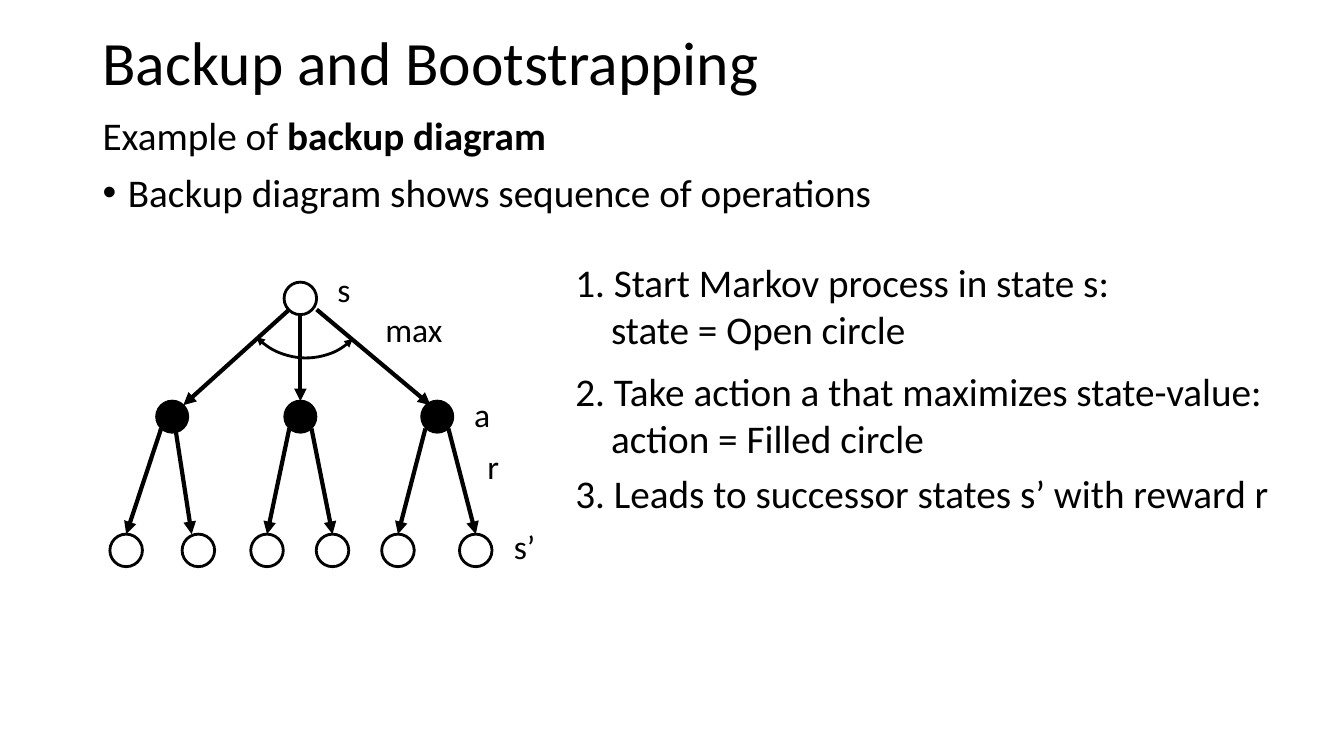
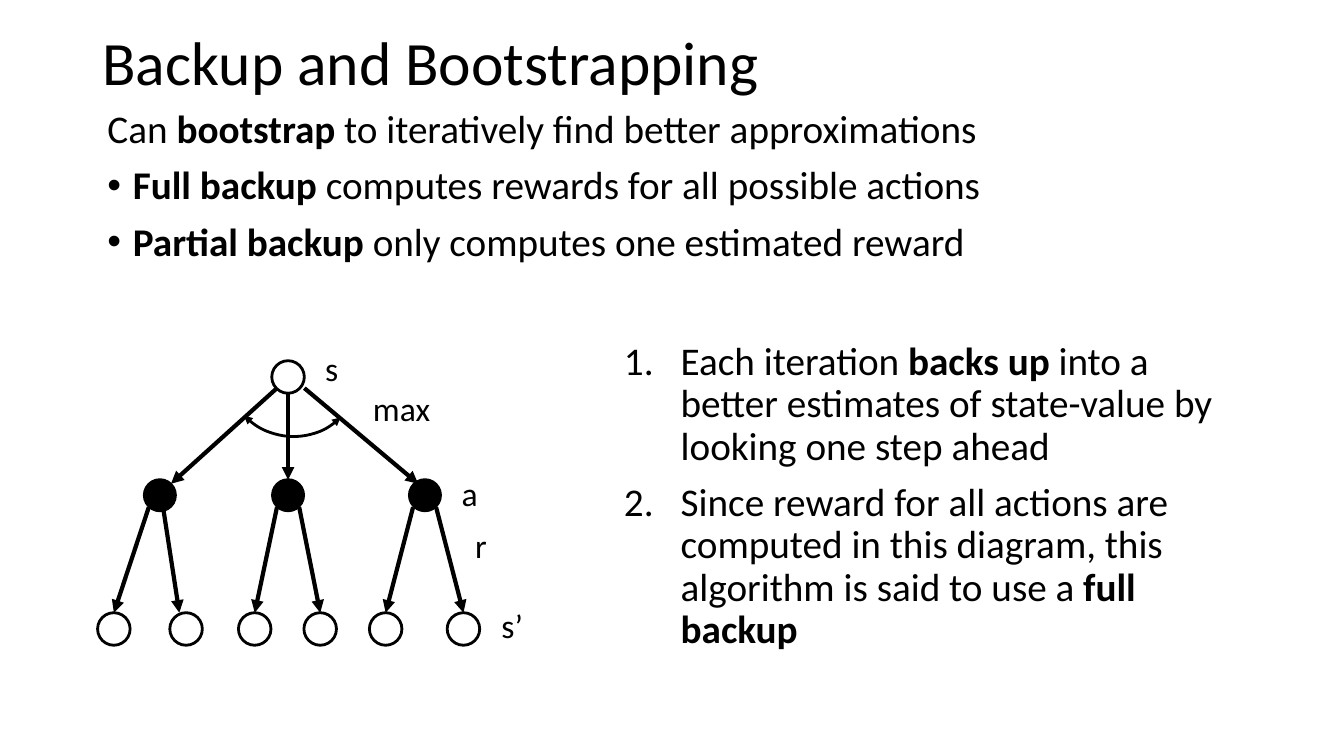
import pptx
import pptx.dml.color
import pptx.enum.shapes
import pptx.enum.text
import pptx.oxml
import pptx.oxml.ns
import pptx.util
import lxml.etree

Cm = pptx.util.Cm
Pt = pptx.util.Pt
Kind = pptx.enum.shapes.MSO_SHAPE
Align = pptx.enum.text.PP_ALIGN

ACTS = (-3.23, 0, 3.45)
STATES = (-4.39, -2.57, -0.84, 0.81, 2.46, 4.42)
ACT_Y = 2.98
STATE_Y = 6.35
ROOT_EDGES = (
    (-0.28, 0.28, -2.95, 2.69),
    (0, 0.42, 0, 2.59),
    (0.41, 0.28, 3.28, 2.69),
)
LEAF_EDGES = (
    (-3.51, -4.39), (-3.15, -2.74), (-0.28, -0.84),
    (0.28, 0.81), (3.15, 2.46), (3.73, 4.42),
)
LABELS = (
    ("s", 1.1, -0.23, 1.14),
    ("a", 4.58, 2.92, 1.14),
    ("s’", 5.65, 6.25, 1.14),
    ("r", 4.86, 4.24, 1.14),
    ("max", 2.86, 0.79, 2.51),
)


def tint(code):
    return pptx.dml.color.RGBColor.from_string(code)


def add(parent, tag, **attrs):
    node = lxml.etree.SubElement(parent, pptx.oxml.ns.qn("a:" + tag))
    for key, value in attrs.items():
        node.set(key, str(value))


def write(par, text, size=28, align=Align.LEFT, space=1.0, gap=0,
          left=0, hang=0, mark=None, font="Calibri", color="000000"):
    par.alignment = align
    par.line_spacing = space
    par.space_before = Pt(gap)
    props = par._p.get_or_add_pPr()
    props.set("marL", str(Cm(left + hang)))
    props.set("indent", str(-Cm(hang)))
    if mark == "1.":
        add(props, "buFont", typeface="+mj-lt")
        add(props, "buAutoNum", type="arabicPeriod")
    elif mark:
        add(props, "buFont", typeface="Arial")
        add(props, "buChar", char=mark)
    else:
        add(props, "buNone")
    for index, piece in enumerate(text.split("*")):
        if piece:
            run = par.add_run()
            run.text = piece
            run.font.size = Pt(size)
            run.font.name = font
            run.font.bold = index % 2 == 1
            run.font.color.rgb = tint(color)


class Deck:
    ink = "000000"
    plain = dict(space=0.9, gap=10)
    bullet = dict(plain, hang=0.64, mark="•")
    number = dict(plain, hang=1.43, mark="1.")
    label = dict(size=24, align=Align.CENTER)
    dot = 0.82

    def __init__(self):
        self.show = pptx.Presentation()
        self.show.slide_width = Cm(33.87)
        self.show.slide_height = Cm(19.05)
        self.slide = None

    def start(self, title):
        self.slide = self.show.slides.add_slide(self.show.slide_layouts[1])
        self.fill(self.slide.shapes.title, (2.33, 0.64, 29.21, 2.01),
                  [(title, dict(size=44, space=0.9))],
                  pptx.enum.text.MSO_ANCHOR.MIDDLE)

    def fill(self, shape, box, lines, anchor=pptx.enum.text.MSO_ANCHOR.TOP):
        shape.left, shape.top, shape.width, shape.height = map(Cm, box)
        frame = shape.text_frame
        frame.word_wrap = True
        frame.auto_size = pptx.enum.text.MSO_AUTO_SIZE.NONE
        frame.vertical_anchor = anchor
        for index, (text, style) in enumerate(lines):
            par = frame.add_paragraph() if index else frame.paragraphs[0]
            write(par, text, **style)

    def body(self, box, lines):
        self.fill(self.slide.placeholders[1], box, lines)

    def note(self, box, lines):
        self.fill(self.slide.shapes.add_textbox(*map(Cm, box)), box, lines)

    def shape(self, kind, x, y, wide, high, width, solid=False):
        shape = self.slide.shapes.add_shape(
            kind, Cm(x - wide / 2), Cm(y - high / 2), Cm(wide), Cm(high))
        shape.shadow.inherit = False
        if solid:
            shape.fill.solid()
            shape.fill.fore_color.rgb = tint(self.ink)
        else:
            shape.fill.background()
        shape.line.color.rgb = tint(self.ink)
        shape.line.width = Pt(width)
        return shape

    def node(self, x, y, solid=False):
        self.shape(Kind.OVAL, x, y, self.dot, self.dot,
                   1 if solid else 2, solid)

    def arrow(self, *ends):
        line = self.slide.shapes.add_connector(
            pptx.enum.shapes.MSO_CONNECTOR.STRAIGHT, *map(Cm, ends))
        line.line.color.rgb = tint(self.ink)
        line.line.width = Pt(3)
        add(line.line._get_or_add_ln(), "tailEnd", type="triangle")
        add(line._element.spPr, "effectLst")

    def arc(self, x, y):
        arc = self.shape(Kind.ARC, x, y, 3.4, 3.48, 2)
        arc.rotation = 135.4
        for tag in ("headEnd", "tailEnd"):
            add(arc.line._get_or_add_ln(), tag, type="triangle")

    def tree(self, x, y):
        self.node(x, y)
        for act in ACTS:
            self.node(x + act, y + ACT_Y, True)
        for state in STATES:
            self.node(x + state, y + STATE_Y)
        edges = [(a, 3.28, b, 5.94) for a, b in LEAF_EDGES]
        for a, b, c, d in [*ROOT_EDGES, *edges]:
            self.arrow(x + a, y + b, x + c, y + d)
        for text, right, down, wide in LABELS:
            self.note((x + right - wide / 2, y + down - 0.64, wide, 1.27),
                      [(text, self.label)])
        self.arc(x + 0.1, y - 0.22)


def main():
    deck = Deck()
    title = "Backup and Bootstrapping"

    deck.start(title)
    deck.body((2.33, 2.82, 29.21, 3.23), [
        ("Example of *backup diagram*", deck.plain),
        ("Backup diagram shows sequence of operations", deck.bullet),
    ])
    deck.tree(7.57, 7.52)
    steps = (
        (6.38, 2.64, "1. Start Markov process in state s:",
         "state = Open circle"),
        (9.14, 2.64, "2. Take action a that maximizes state-value:",
         "action = Filled circle"),
        (11.71, 1.45, "3. Leads to successor states s’ with reward r"),
    )
    for top, high, head, *rest in steps:
        deck.note((14.25, top, 18.24, high),
                  [(head, {})] + [(text, dict(left=0.9)) for text in rest])

    deck.start(title)
    deck.body((15.47, 8.48, 15.7, 8.56), [
        ("Each iteration *backs up *into a better estimates of state-value "
         "by looking one step ahead", deck.number),
        ("Since reward for all actions are computed in this diagram, this "
         "algorithm is said to use a *full backup*", deck.number),
    ])
    deck.tree(7.26, 9.5)
    deck.note((2.46, 2.64, 29.9, 4.57), [
        ("Can *bootstrap* to iteratively find better approximations",
         deck.plain),
        ("*Full backup *computes rewards for all possible actions",
         deck.bullet),
        ("*Partial backup *only computes one estimated reward", deck.bullet),
    ])

    deck.show.save("out.pptx")


if __name__ == "__main__":
    main()
